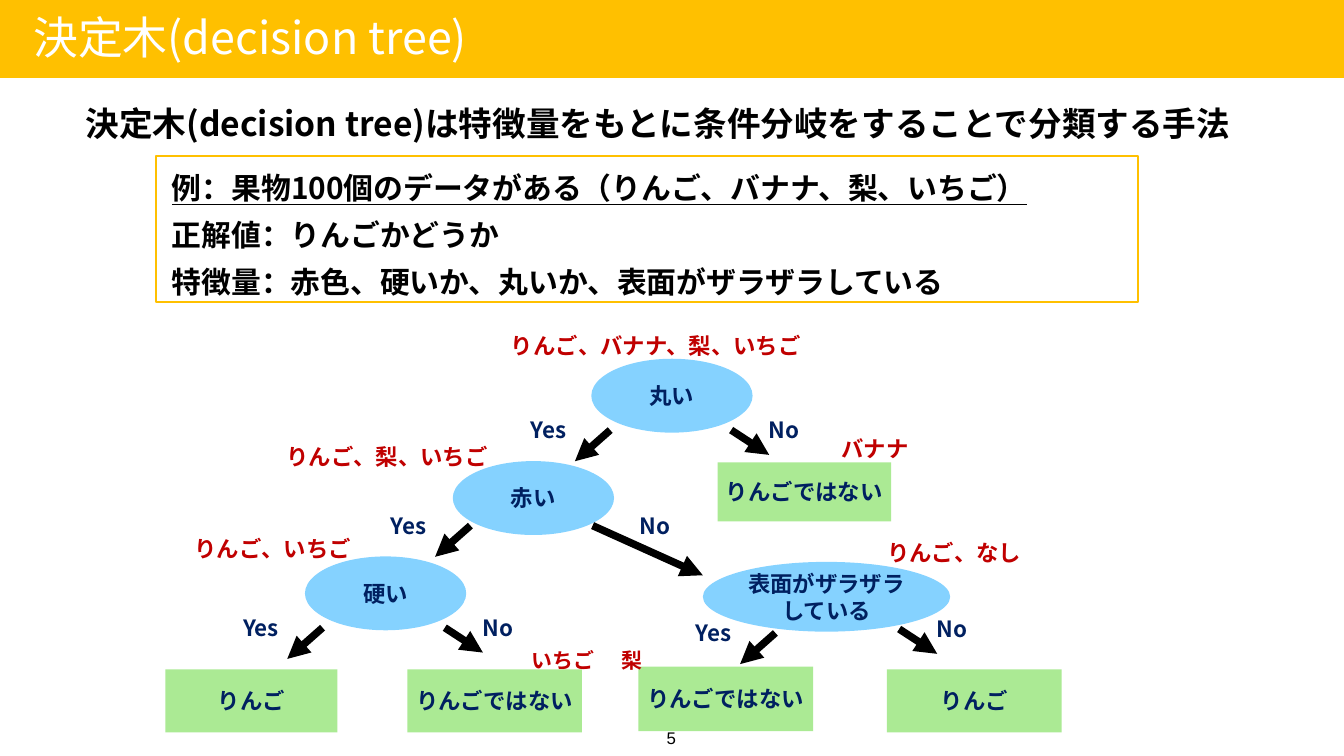
from dataclasses import dataclass

from lxml import etree
from pptx import Presentation
from pptx.dml.color import RGBColor
from pptx.enum import shapes, text
from pptx.oxml import ns
from pptx.util import Pt


@dataclass(frozen=True)
class Theme:
    font: str = "Noto Sans CJK JP"
    plain: str = "Arial"
    gold: str = "FFC000"
    blue: str = "00A2FF"
    green: str = "61D836"
    navy: str = "002060"
    red: str = "C00000"
    black: str = "000000"
    white: str = "FFFFFF"
    title: float = 24
    lead: float = 18
    body: float = 16
    label: float = 12
    small: float = 11.2
    page: float = 9


T = Theme()
RECT = shapes.MSO_SHAPE.RECTANGLE
OVAL = shapes.MSO_SHAPE.OVAL
LEFT = text.PP_ALIGN.LEFT
MID = text.PP_ALIGN.CENTER


def write(shape, lines, size, color, bold=True, align=MID, pad=1.4, left=None,
          wrap=True, font=T.font, space=None, line=None):
    frame = shape.text_frame
    frame.word_wrap = wrap
    frame.vertical_anchor = text.MSO_ANCHOR.MIDDLE
    frame.margin_left = Pt(pad if left is None else left)
    frame.margin_right = frame.margin_top = frame.margin_bottom = Pt(pad)
    frame.text = lines
    for i, para in enumerate(frame.paragraphs):
        para.alignment = align
        para.line_spacing = space
        face = para.font
        face.name, face.size, face.bold = font, Pt(size), bold
        face.underline = i == line
        face.color.rgb = RGBColor.from_string(color)
        props = para._p.pPr.find(ns.qn("a:defRPr"))
        etree.SubElement(props, ns.qn("a:ea"), typeface=font)


def block(slide, kind, box, fill=None, alpha=None, edge=None):
    shape = slide.shapes.add_shape(kind, *map(Pt, box))
    shape.shadow.inherit = False
    if fill:
        shape.fill.solid()
        shape.fill.fore_color.rgb = RGBColor.from_string(fill)
    else:
        shape.fill.background()
    if alpha:
        tint = shape._element.spPr.find(".//" + ns.qn("a:srgbClr"))
        etree.SubElement(tint, ns.qn("a:alpha"), val=str(alpha * 1000))
    if edge:
        shape.line.color.rgb = RGBColor.from_string(edge)
        shape.line.width = Pt(1)
    else:
        shape.line.fill.background()
    return shape


def label(slide, x, y, wide, words, size, color, high=17.3, **style):
    box = (x - wide / 2, y - high / 2, wide, high)
    shape = slide.shapes.add_textbox(*map(Pt, box))
    write(shape, words, size, color, **style)


def arrow(slide, x, y, dx, dy):
    ends = map(Pt, (x, y, x + dx, y + dy))
    link = slide.shapes.add_connector(shapes.MSO_CONNECTOR.STRAIGHT, *ends)
    link.line.color.rgb = RGBColor.from_string(T.black)
    link.line.width = Pt(4)
    etree.SubElement(link.line._get_or_add_ln(), ns.qn("a:tailEnd"), type="triangle")
    etree.SubElement(link._element.spPr, ns.qn("a:effectLst"))


def header(slide, x, y, wide, high):
    block(slide, RECT, (x, y, wide, high), T.gold)
    title = block(slide, RECT, (x + 16.5, y + 3.6, 524, 32.4), T.gold)
    write(title, "決定木(decision tree)", T.title, T.white, bold=False, align=LEFT)


def intro(slide, x, y, wide, high):
    label(slide, x + wide / 2, y + 12.6, wide,
          "決定木(decision tree)は特徴量をもとに条件分岐をすることで分類する手法",
          T.lead, T.black, high=25.2, wrap=False)
    frame = block(slide, RECT, (x + 50.4, y + 30.2, 526.3, high - 30.2), edge=T.gold)
    lines = ("例：果物100個のデータがある（りんご、バナナ、梨、いちご）\n"
             "正解値：りんごかどうか\n"
             "特徴量：赤色、硬いか、丸いか、表面がザラザラしている")
    write(frame, lines, T.body, T.black, align=LEFT, left=8.6, space=1.3, line=0)


def tree(slide, x, y):
    yes, no, far = (-18.9, 16.7), (20.4, 13.3), (59, 26.6)
    nodes = [
        ("丸い", 272, 36, 86.4, 39.6, (-33.1, 18.4), (31.7, 18.4), no),
        ("赤い", 197.8, 90.8, 86.4, 39.6, (-33.8, 14.8), (31.7, 14.8), far),
        ("硬い", 118.6, 141.9, 86.4, 39.6, (-33.8, 18.4), (31.7, 18.4), no),
        ("表面がザラザラしている", 354.8, 143.7, 132.5, 37.4,
         (-27.4, 19.4), (38.9, 17.3), no),
    ]
    leaves = [
        ("りんご", 0.6, 182.6, 92.2, 33.8),
        ("りんごではない", 130.2, 182.6, 93.6, 33.8),
        ("りんごではない", 254, 181.1, 93.6, 34.6),
        ("りんご", 387.2, 182.6, 93.6, 33.8),
        ("りんごではない", 296.5, 71.7, 92.9, 31.7),
    ]
    notes = [
        ("りんご、バナナ、梨、いちご", 263.4, 9, T.label),
        ("りんご、梨、いちご", 119.4, 68.8, T.label),
        ("りんご、いちご", 58.2, 117.8, T.label),
        ("りんご、なし", 423.2, 119.9, T.label),
        ("バナナ", 380.7, 64.5, T.label),
        ("いちご", 213.7, 177.9, T.small),
        ("梨", 250.4, 177.9, T.small),
    ]
    for words, dx, dy, wide, high in leaves:
        leaf = block(slide, RECT, (x + dx, y + dy, wide, high), T.green, 53)
        write(leaf, words, T.label, T.navy, pad=0)
    for words, dx, dy, wide, high, west, east, reach in nodes:
        cx, cy = x + dx, y + dy
        node = block(slide, OVAL, (cx - wide / 2, cy - high / 2, wide, high), T.blue, 48)
        write(node, words, T.label, T.navy, pad=0)
        gap = 33.5 if reach is far else 28.4
        for word, start, step, shift, span in (("Yes", west, yes, -33, 26),
                                               ("No", east, reach, gap, 21)):
            ax, ay = cx + start[0], cy + start[1]
            arrow(slide, ax, ay, *step)
            label(slide, ax + shift, ay, span, word, T.label, T.navy, wrap=False)
    for words, dx, dy, size in notes:
        label(slide, x + dx, y + dy, 193, words, size, T.red)


def footer(slide, x, y):
    label(slide, x, y, 18, "5", T.page, T.black, high=18.7, bold=False,
          pad=4.3, wrap=False, font=T.plain)


def main():
    deck = Presentation()
    deck.slide_width, deck.slide_height = Pt(720), Pt(405)
    slide = deck.slides.add_slide(deck.slide_layouts[6])
    header(slide, 0, 0, 720, 41.8)
    intro(slide, 33.1, 53.3, 638.6, 108.7)
    tree(slide, 88, 176)
    footer(slide, 359.6, 395.3)
    deck.save("out.pptx")


if __name__ == "__main__":
    main()
